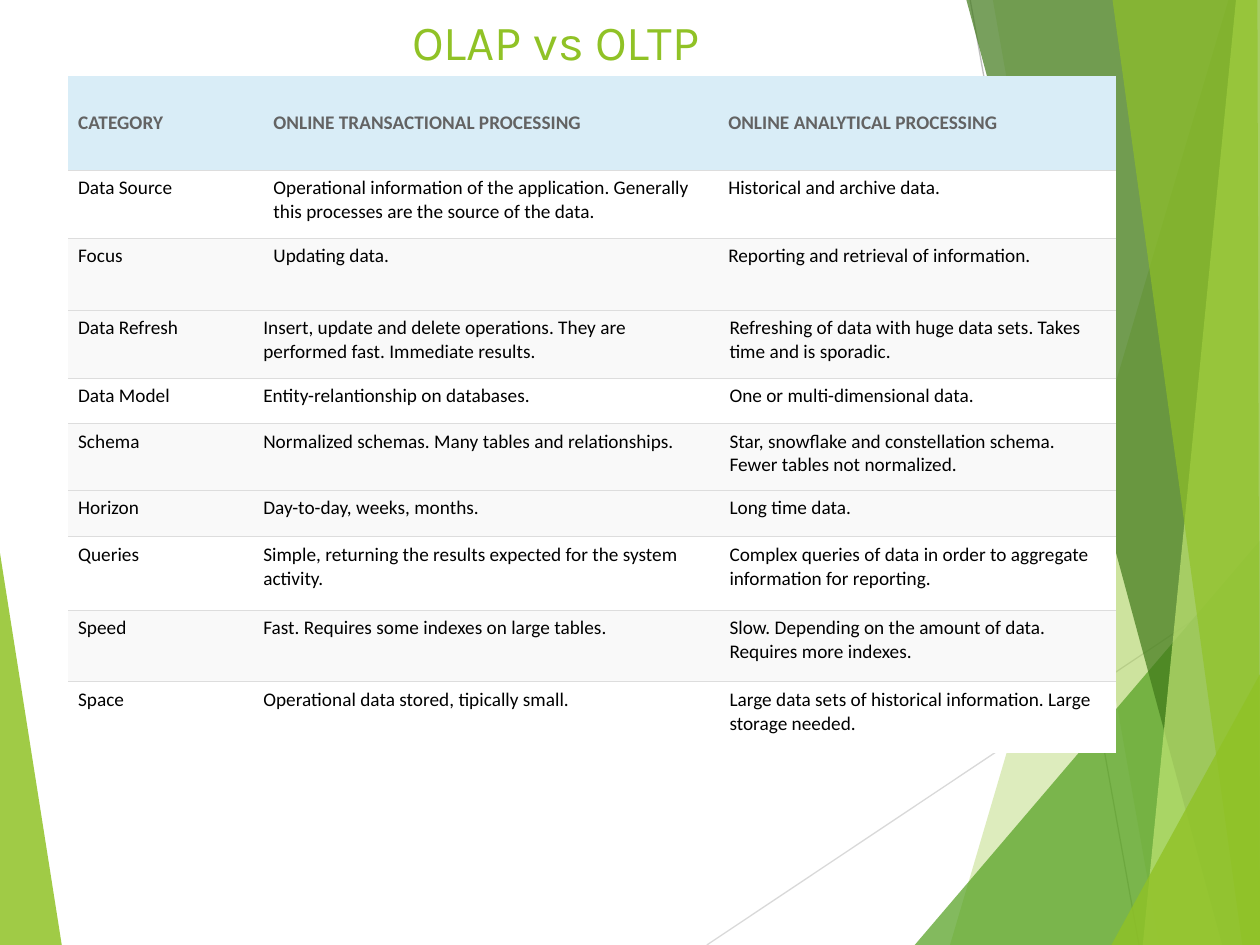
from lxml.etree import SubElement
from pptx import Presentation
from pptx.dml.color import RGBColor
from pptx.enum.shapes import MSO_CONNECTOR
from pptx.enum.text import MSO_ANCHOR, PP_ALIGN
from pptx.oxml import parse_xml
from pptx.oxml.ns import nsdecls, qn
from pptx.util import Inches, Pt

COLORS = {
    "lime": "90C226", "green": "54A021", "forest": "3F7819", "pale": "C0E474",
    "light_line": "D9D9D9", "dark_line": "BFBFBF", "border": "DDDDDD",
    "header": "D9EDF7", "header_text": "636363",
    "white": "FFFFFF", "stripe": "F9F9F9", "black": "000000",
}
NO_STYLE = "{2D5ABB26-0587-4C30-8999-92F81FD0307C}"
LEFT_WEDGE = ("lime", 85, [(0, 4.39), (0.49, 7.5), (0, 7.5)])
RIGHT_PANELS = [
    ("lime", 30, [(9.75, 0), (7.54, 7.5), (10, 7.5), (10, 0)]),
    ("lime", 20, [(7.88, 0), (9.2, 7.5), (10, 7.5), (10, 0)]),
    ("green", 72, [(7.26, 7.5), (10, 4.29), (10, 7.5)]),
    ("forest", 70, [(7.67, 0), (9.7, 7.5), (10, 7.5), (10, 0)]),
    ("pale", 70, [(9.81, 0), (9.07, 7.5), (10, 7.5), (10, 0)]),
    ("lime", 65, [(8.83, 0), (9.86, 7.5), (10, 7.5), (9.98, 0)]),
    ("lime", 80, [(8.82, 7.5), (10, 5.35), (10, 7.5)]),
]
RAYS = [("light_line", (5.61, 7.5), (10, 4.57)), ("dark_line", (7.7, 0), (9.04, 7.5))]

OVERVIEW_ROWS = [
    (0.75, "CATEGORY", "ONLINE TRANSACTIONAL PROCESSING", "ONLINE ANALYTICAL PROCESSING"),
    (0.54, "Data Source",
     "Operational information of the application. Generally this processes are the source of the data.",
     "Historical and archive data."),
    (0.75, "Focus", "Updating data.", "Reporting and retrieval of information."),
]
STRUCTURE_ROWS = [
    (0.54, "Data Refresh",
     "Insert, update and delete operations. They are performed fast. Immediate results.",
     "Refreshing of data with huge data sets. Takes time and is sporadic."),
    (0.36, "Data Model", "Entity-relantionship on databases.", "One or multi-dimensional data."),
    (0.7, "Schema", "Normalized schemas. Many tables and relationships.",
     "Star, snowflake and constellation schema. Fewer tables not normalized."),
]
USAGE_ROWS = [
    (0.37, "Horizon", "Day-to-day, weeks, months.", "Long time data."),
    (0.58, "Queries", "Simple, returning the results expected for the system activity.",
     "Complex queries of data in order to aggregate information for reporting."),
    (0.57, "Speed", "Fast. Requires some indexes on large tables.",
     "Slow. Depending on the amount of data. Requires more indexes."),
    (0.57, "Space", "Operational data stored, tipically small.",
     "Large data sets of historical information. Large storage needed."),
]


def color(name):
    """Return the named colour."""
    return RGBColor.from_string(COLORS[name])


def write(frame, text, size, font, fill, bold=False, align=PP_ALIGN.LEFT):
    """Write one formatted paragraph into a text frame."""
    frame.word_wrap = True
    para = frame.paragraphs[0]
    para.alignment = align
    span = para.add_run()
    span.text = text
    span.font.size = Pt(size)
    span.font.name = font
    span.font.bold = bold
    span.font.color.rgb = color(fill)


def add_panel(page, fill, opacity, points):
    """Draw a translucent polygon."""
    corners = [(Inches(x), Inches(y)) for x, y in points]
    builder = page.shapes.build_freeform(*corners[0])
    builder.add_line_segments(corners[1:])
    panel = builder.convert_to_shape()
    panel.shadow.inherit = False
    panel.line.fill.background()
    panel.fill.solid()
    panel.fill.fore_color.rgb = color(fill)
    tint = panel.fill._xPr.find(qn("a:solidFill"))[0]
    SubElement(tint, qn("a:alpha")).set("val", str(opacity * 1000))


def add_ray(page, stroke, start, end):
    """Draw a thin straight line."""
    ray = page.shapes.add_connector(
        MSO_CONNECTOR.STRAIGHT, *[Inches(value) for value in start + end])
    ray.line.color.rgb = color(stroke)
    ray.line.width = Pt(0.75)
    SubElement(ray._element.spPr, qn("a:effectLst"))


def add_scenery(page):
    """Draw the wedges and rays behind the content."""
    add_panel(page, *LEFT_WEDGE)
    for ray in RAYS:
        add_ray(page, *ray)
    for panel in RIGHT_PANELS:
        add_panel(page, *panel)


def add_title(page, text, left, top, width, height):
    """Place and format the slide title."""
    title = page.shapes.title
    title.left, title.top = Inches(left), Inches(top)
    title.width, title.height = Inches(width), Inches(height)
    frame = title.text_frame
    frame.margin_left = frame.margin_right = frame.margin_bottom = 0
    frame.margin_top = Inches(0.09)
    frame.vertical_anchor = MSO_ANCHOR.TOP
    write(frame, text, 28, "Karla", "lime", align=PP_ALIGN.CENTER)


def set_borders(cell, sides):
    """Give a cell thin borders on the sides listed in schema order."""
    properties = cell._tc.get_or_add_tcPr()
    for index, side in enumerate(sides):
        properties.insert(index, parse_xml(
            f'<a:ln{side} {nsdecls("a")} w="4320"><a:solidFill>'
            f'<a:srgbClr val="{COLORS["border"]}"/></a:solidFill></a:ln{side}>'))


def fill_cell(cell, text, fill, is_header):
    """Fill one table cell with its text and background."""
    cell.margin_left = Inches(0.08)
    cell.margin_right = Inches(0.21 if is_header else 0.08)
    cell.margin_top = cell.margin_bottom = Inches(0.05)
    cell.vertical_anchor = MSO_ANCHOR.MIDDLE if is_header else MSO_ANCHOR.TOP
    cell.fill.solid()
    cell.fill.fore_color.rgb = color(fill)
    write(cell.text_frame, text, 11, "Calibri",
          "header_text" if is_header else "black", bold=is_header)


def add_comparison(page, rows, left, top, widths, has_header=False):
    """Build a striped comparison table."""
    height = sum(row[0] for row in rows)
    box = page.shapes.add_table(len(rows), len(widths), Inches(left), Inches(top),
                                Inches(sum(widths)), Inches(height))
    table = box.table
    table.first_row = has_header
    table.horz_banding = False
    table._tbl.tblPr.find(qn("a:tableStyleId")).text = NO_STYLE
    for column, width in zip(table.columns, widths):
        column.width = Inches(width)
    for index, (row_height, *texts) in enumerate(rows):
        table.rows[index].height = Inches(row_height)
        is_header = has_header and index == 0
        striped = index % 2 == 0
        fill = "header" if is_header else "stripe" if striped else "white"
        sides = ("" if is_header else "T") + ("B" if index < len(rows) - 1 else "")
        for cell, text in zip(table.rows[index].cells, texts):
            fill_cell(cell, text, fill, is_header)
            set_borders(cell, sides)


def build_slide(deck):
    """Compose the comparison slide."""
    page = deck.slides.add_slide(deck.slide_layouts[5])
    add_scenery(page)
    add_title(page, "OLAP vs OLTP", 2.01, 0, 4.8, 0.44)
    add_comparison(page, OVERVIEW_ROWS, 0.54, 0.6, (1.55, 3.61, 3.16), has_header=True)
    for rows, top in ((STRUCTURE_ROWS, 2.46), (USAGE_ROWS, 3.89)):
        add_comparison(page, rows, 0.54, top, (1.47, 3.7, 3.15))


deck = Presentation()
deck.slide_width, deck.slide_height = Inches(10), Inches(7.5)
build_slide(deck)
deck.save("out.pptx")
